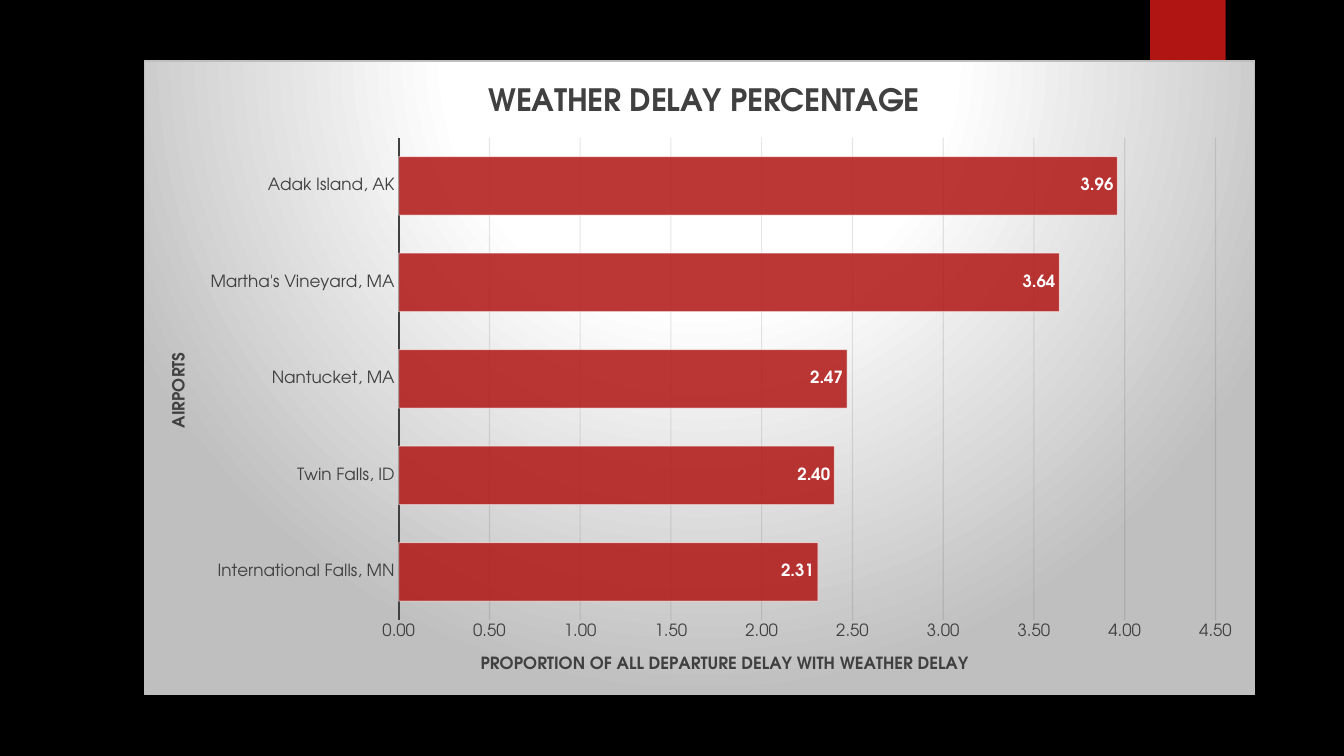
from lxml.etree import SubElement
from pptx import Presentation
from pptx.chart.data import CategoryChartData
from pptx.dml.color import RGBColor
from pptx.enum.chart import (XL_CHART_TYPE as Chart, XL_LABEL_POSITION as LabelPos,
                             XL_TICK_MARK as Tick)
from pptx.enum.shapes import MSO_SHAPE as Shape
from pptx.oxml import parse_xml
from pptx.oxml.ns import nsdecls, qn
from pptx.util import Inches, Pt

COLS, ROWS = 160, 90
WIDTH, HEIGHT = Inches(13.333), Inches(7.5)
DELAYS = {
    "International Falls, MN": 2.31,
    "Twin Falls, ID": 2.40,
    "Nantucket, MA": 2.47,
    "Martha's Vineyard, MA": 3.64,
    "Adak Island, AK": 3.96,
}


def rgb(value):
    return RGBColor.from_string(value)


def style_font(font, size, color, bold=False, name="TeX Gyre Adventor"):
    font.name, font.size, font.bold = name, Pt(size), bold
    font.color.rgb = rgb(color)


def write(tf, text, **fmt):
    r = tf.paragraphs[0].add_run()
    r.text = text
    style_font(r.font, **fmt)


def set_line(line, color, width):
    line.color.rgb = rgb(color)
    line.width = Pt(width)


def set_alpha(element, percent):
    """Give every colour inside the element the same opacity."""
    for clr in element.iter(qn("a:srgbClr")):
        SubElement(clr, qn("a:alpha")).set("val", str(percent * 1000))


def layout(inner=False, **shares):
    """Manual chart layout from shares of the chart's size."""
    target = '<c:layoutTarget val="inner"/>' if inner else ""
    modes = "".join(f'<c:{k}Mode val="edge"/>' for k in "xy")
    sizes = "".join(f'<c:{k} val="{v}"/>' for k, v in shares.items())
    return parse_xml(f'<c:layout {nsdecls("c")}><c:manualLayout>{target}{modes}{sizes}'
                     '</c:manualLayout></c:layout>')


def drop_layout(element):
    for old in element.findall(qn("c:layout")):
        element.remove(old)


class Deck:
    ink, accent, white, edge = "404040", "B01513", "FFFFFF", "BFBFBF"

    def __init__(self):
        self.prs = Presentation()
        self.prs.slide_width, self.prs.slide_height = WIDTH, HEIGHT
        self.s = self.prs.slides.add_slide(self.prs.slide_layouts[6])

    def background(self, color):
        fill = self.s.background.fill
        fill.solid()
        fill.fore_color.rgb = rgb(color)

    def box(self, col, row, cols, rows):
        return (int(WIDTH * col / COLS), int(HEIGHT * row / ROWS),
                int(WIDTH * cols / COLS), int(HEIGHT * rows / ROWS))

    def ribbon(self, *cells):
        sp = self.s.shapes.add_shape(Shape.RECTANGLE, *self.box(*cells))
        sp.fill.solid()
        sp.fill.fore_color.rgb = rgb(self.accent)
        sp.line.fill.background()
        sp.shadow.inherit = False
        effects = sp._element.spPr.find(qn("a:effectLst"))
        effects.append(parse_xml(
            f'<a:outerShdw {nsdecls("a")} blurRad="{Pt(3)}" dist="{Pt(2)}" dir="5400000">'
            '<a:srgbClr val="000000"><a:alpha val="45000"/></a:srgbClr></a:outerShdw>'))

    def bar_chart(self, values, *cells):
        data = CategoryChartData(number_format="0.00")
        data.categories = list(values)
        data.add_series("Series 1", list(values.values()))
        chart = self.s.shapes.add_chart(Chart.BAR_CLUSTERED, *self.box(*cells), data).chart
        style_font(chart.font, 10, self.white)
        chart.has_legend = False
        self.chart_area(chart)
        self.bars(chart.plots[0])
        return chart

    def chart_area(self, chart):
        stops = "".join(f'<a:gs pos="{pos * 1000}"><a:srgbClr val="{c}"/></a:gs>' for pos, c in
                        ((0, self.white), (39, self.white), (100, self.edge)))
        chart._chartSpace.find(qn("c:chart")).addnext(parse_xml(
            f'<c:spPr {nsdecls("c", "a")}><a:gradFill><a:gsLst>{stops}</a:gsLst>'
            '<a:path path="circle"><a:fillToRect l="50000" t="-80000" r="50000" b="180000"/>'
            f'</a:path></a:gradFill><a:ln w="{Pt(0.75)}"><a:solidFill>'
            f'<a:srgbClr val="{self.edge}"/></a:solidFill></a:ln></c:spPr>'))

    def bars(self, plot):
        plot.gap_width, plot.vary_by_categories = 65, False
        ser = plot.series[0]
        ser.format.fill.solid()
        ser.format.fill.fore_color.rgb = rgb(self.accent)
        set_alpha(ser._element.spPr, 85)
        set_line(ser.format.line, self.white, 0.75)
        set_alpha(ser._element.spPr.find(qn("a:ln")), 50)
        labels = ser.data_labels
        labels.show_value, labels.position = True, LabelPos.INSIDE_END
        labels.number_format, labels.number_format_is_linked = "0.00", False
        style_font(labels.font, 12, self.white, bold=True)

    def chart_title(self, owner, text, size, x, y):
        title = owner.chart_title if hasattr(owner, "chart_title") else owner.axis_title
        write(title.text_frame, text, size=size, color=self.ink, bold=True)
        drop_layout(title._element)
        title._element.find(qn("c:tx")).addnext(layout(x=x, y=y))

    def axis(self, axis, text, x, y):
        axis.major_tick_mark = axis.minor_tick_mark = Tick.NONE
        style_font(axis.tick_labels.font, 12, self.ink)
        self.chart_title(axis, text, 12, x, y)

    def plot_area(self, chart, **shares):
        area = chart._chartSpace.find(qn("c:chart")).find(qn("c:plotArea"))
        drop_layout(area)
        area.insert(0, layout(inner=True, **shares))


def main():
    deck = Deck()
    deck.background("000000")

    # Red ribbon at the top edge
    deck.ribbon(136.92, 0, 9, 15)

    # Chart with its title and plot area
    chart = deck.bar_chart(DELAYS, 17.16, 7.2, 132.24, 75.6)
    deck.chart_title(chart, "WEATHER DELAY PERCENTAGE", 22, 0.305, 0.03)
    deck.plot_area(chart, x=0.229, y=0.121, w=0.736, h=0.761)

    # Airport axis
    airports = chart.category_axis
    deck.axis(airports, "AIRPORTS", 0.02, 0.455)
    set_line(airports.format.line, deck.ink, 1.5)
    airports.has_major_gridlines = False

    # Proportion axis
    share = chart.value_axis
    deck.axis(share, "PROPORTION OF ALL DEPARTURE DELAY WITH WEATHER DELAY", 0.3, 0.932)
    share.minimum_scale, share.maximum_scale, share.major_unit = 0, 4.5, 0.5
    share.tick_labels.number_format = "0.00"
    share.tick_labels.number_format_is_linked = False
    share.format.line.fill.background()
    set_line(share.major_gridlines.format.line, "0D0D0D", 0.75)
    set_alpha(share._element.find(qn("c:majorGridlines")), 10)

    deck.prs.save("out.pptx")


if __name__ == "__main__":
    main()
